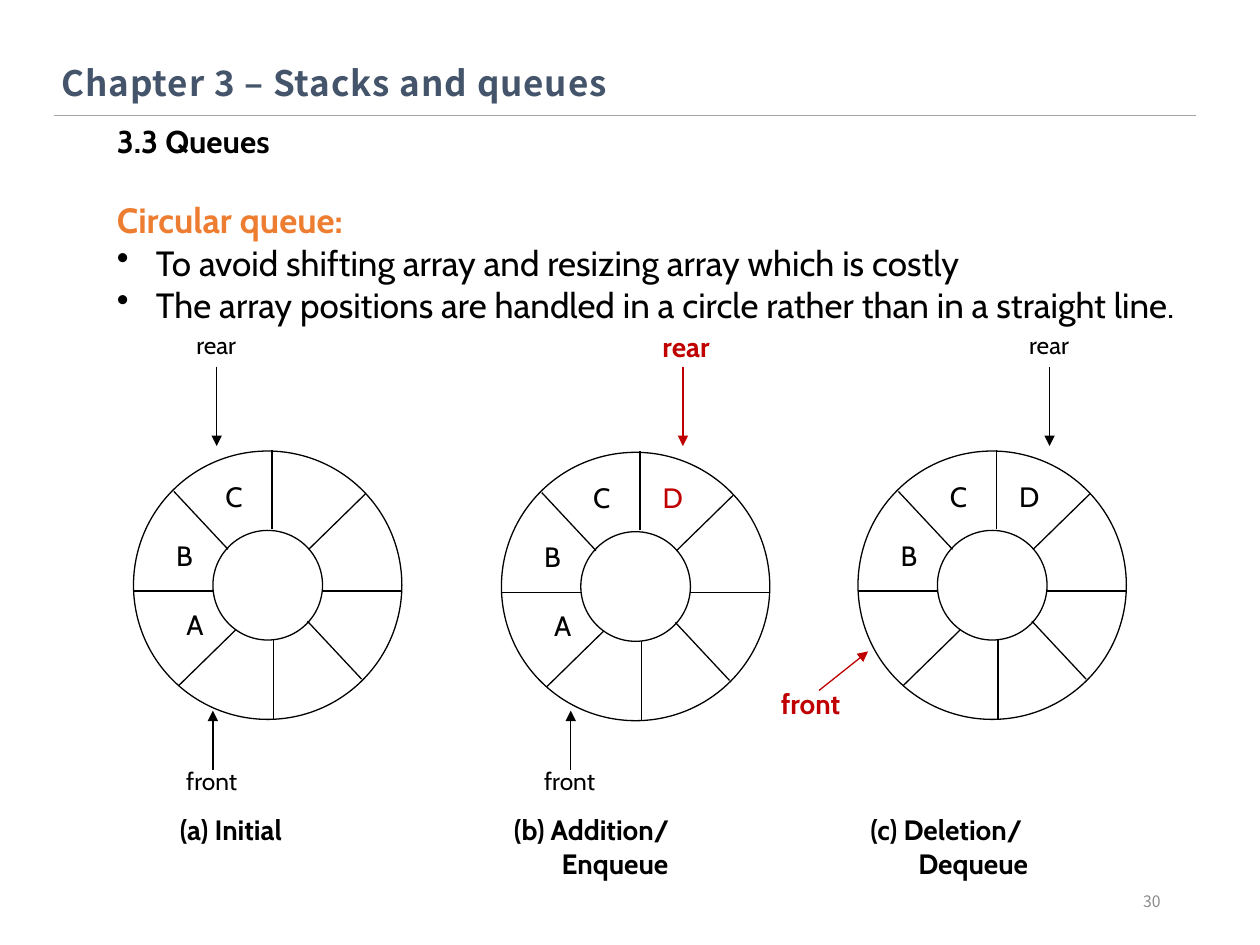
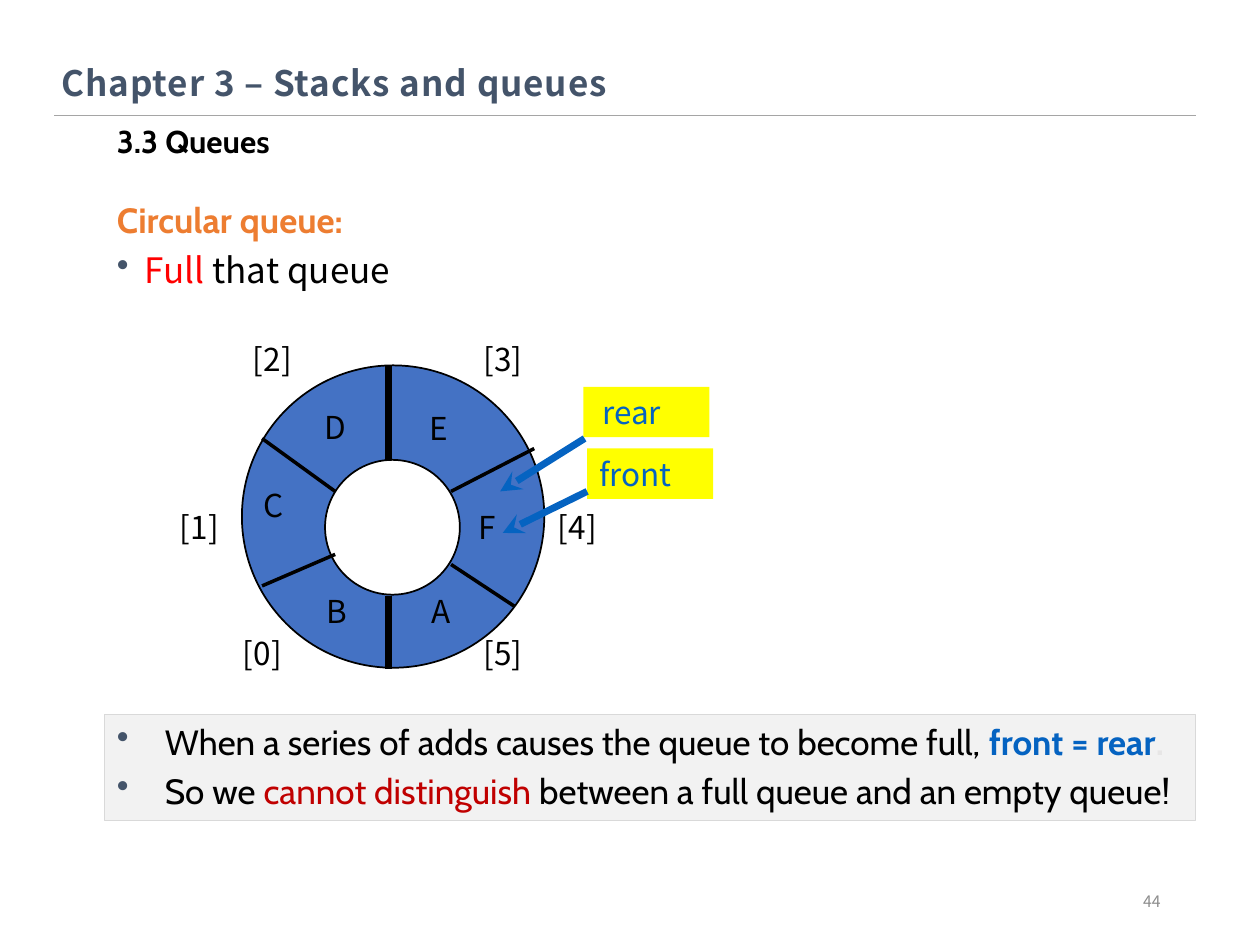
from dataclasses import dataclass

from lxml import etree
from pptx import Presentation
from pptx import util as u
from pptx.dml.color import RGBColor
from pptx.enum import shapes, text
from pptx.oxml import ns


@dataclass(frozen=True)
class Theme:
    """Fonts, colours and type sizes shared by the slides."""
    body_font: str = "Cabin"
    head_font: str = "Noto Sans CJK KR"
    ink: str = "000000"
    slate: str = "44546A"
    rule: str = "A5A5A5"
    number: str = "8C8C8C"
    orange: str = "ED7D31"
    crimson: str = "C00000"
    red: str = "FF0000"
    link: str = "0563C1"
    ring: str = "4472C4"
    white: str = "FFFFFF"
    yellow: str = "FFFF00"
    panel: str = "F2F2F2"
    panel_edge: str = "D9D9D9"
    faint: str = "E7E6E6"
    body_size: int = 20
    section_size: int = 18
    letter_size: int = 16
    label_size: int = 14
    number_size: int = 9


THEME = Theme()
LEFT, CENTER, RIGHT = text.PP_ALIGN.LEFT, text.PP_ALIGN.CENTER, text.PP_ALIGN.RIGHT
TOP, MIDDLE = text.MSO_ANCHOR.TOP, text.MSO_ANCHOR.MIDDLE

SPOKES = [
    (1.10, -0.01, 1.10, 0.62), (1.11, 1.50, 1.11, 2.13),
    (0, 1.11, 0.63, 1.11), (1.50, 1.11, 2.13, 1.11),
    (0.81, 1.42, 0.36, 1.86), (0.32, 0.32, 0.75, 0.78),
    (1.38, 1.35, 1.81, 1.81), (1.84, 0.34, 1.39, 0.78),
]
SLOTS = {"A": (0.32, 1.18), "B": (0.24, 0.63), "C": (0.63, 0.16), "D": (1.18, 0.16)}


def inches(*lengths):
    """Turn numbers into lengths."""
    return [u.Inches(length) for length in lengths]


def add_span(para, words, font=THEME.body_font, size=THEME.body_size,
             color=THEME.ink, bold=False, spacing=None):
    """Add a formatted run, with a line break at each newline."""
    for index, line in enumerate(words.split("\n")):
        if index:
            para.add_line_break()
        span = para.add_run()
        span.text = line
        span.font.name, span.font.size = font, u.Pt(size)
        span.font.bold = bold
        span.font.color.rgb = RGBColor.from_string(color)
        if spacing:
            span.font._element.set("spc", str(spacing))


def set_indent(para, hang, bullet_color=None):
    """Give a paragraph a hanging indent and, with a colour, a bullet."""
    props = para._p.get_or_add_pPr()
    props.set("marL", str(u.Inches(hang)))
    props.set("indent", str(-u.Inches(hang)))
    if bullet_color:
        holder = etree.SubElement(props, ns.qn("a:buClr"))
        etree.SubElement(holder, ns.qn("a:srgbClr"), val=bullet_color)
        etree.SubElement(props, ns.qn("a:buChar"), char="•")


def set_frame(shape, anchor=TOP, wrap=True, left_margin=0.1):
    """Prepare the text frame of a shape and return it."""
    frame = shape.text_frame
    frame.word_wrap, frame.vertical_anchor = wrap, anchor
    frame.margin_left = u.Inches(left_margin)
    return frame


def add_text(page, place, words, align=LEFT, anchor=TOP, wrap=True, hang=0, **style):
    """Add a text box holding one paragraph."""
    box = page.shapes.add_textbox(*inches(*place))
    para = set_frame(box, anchor, wrap).paragraphs[0]
    if hang:
        set_indent(para, hang)
    para.alignment = align
    add_span(para, words, **style)


def add_bullets(frame, items, hang, color, space=0, first=False):
    """Add bulleted paragraphs, each a list of (words, style) pairs."""
    for index, item in enumerate(items):
        starts_box = first and index == 0
        para = frame.paragraphs[0] if starts_box else frame.add_paragraph()
        set_indent(para, hang, color)
        if not starts_box:
            para.space_before = u.Pt(space)
        for words, style in item:
            add_span(para, words, **style)


def add_figure(page, kind, place, fill=None, line=None, width=0.75):
    """Add a flat preset shape."""
    shape = page.shapes.add_shape(kind, *inches(*place))
    shape.shadow.inherit = False
    if fill:
        shape.fill.solid()
        shape.fill.fore_color.rgb = RGBColor.from_string(fill)
    else:
        shape.fill.background()
    if line:
        shape.line.color.rgb = RGBColor.from_string(line)
        shape.line.width = u.Pt(width)
    else:
        shape.line.fill.background()
    return shape


def add_line(page, ends, color=THEME.ink, width=0.75, head=None):
    """Add a straight line, with an arrowhead at its end if named."""
    line = page.shapes.add_connector(shapes.MSO_CONNECTOR.STRAIGHT, *inches(*ends))
    line.line.color.rgb = RGBColor.from_string(color)
    line.line.width = u.Pt(width)
    if head:
        etree.SubElement(line.line._get_or_add_ln(), ns.qn("a:tailEnd"), type=head)
    etree.SubElement(line._element.spPr, ns.qn("a:effectLst"))


def add_page(deck, number):
    """Add a slide with the title, rule, section name and page number."""
    page = deck.slides.add_slide(deck.slide_layouts[6])
    add_text(page, (7.06, 6.95, 2.25, 0.4), number, align=RIGHT, anchor=MIDDLE,
             font=THEME.head_font, size=THEME.number_size, color=THEME.number)
    add_line(page, (0.43, 0.92, 9.49, 0.92), THEME.rule, 0.5)
    add_text(page, (0.83, 0.92, 8.58, 0.4), "3.3 Queues",
             size=THEME.section_size, bold=True)
    add_text(page, (0.39, 0.44, 9.57, 0.66), "Chapter 3 – Stacks and queues",
             font=THEME.head_font, color=THEME.slate, bold=True, spacing=50)
    return page


def add_topic(page, height, items, hang, color, space=0):
    """Add the topic heading and the bullets below it."""
    box = page.shapes.add_textbox(*inches(0.83, 1.53, 8.66, height))
    frame = set_frame(box)
    add_span(frame.paragraphs[0], "Circular queue:", color=THEME.orange, bold=True)
    add_bullets(frame, items, hang, color, space)


def add_wheel(page, left, top, letters, added=""):
    """Add an eight-slot ring; added letters are set in crimson."""
    oval = shapes.MSO_SHAPE.OVAL
    add_figure(page, oval, (left, top, 2.13, 2.13), line=THEME.ink)
    add_figure(page, oval, (left + 0.63, top + 0.63, 0.87, 0.87), line=THEME.ink)
    for x1, y1, x2, y2 in SPOKES:
        add_line(page, (left + x1, top + y1, left + x2, top + y2))
    for letter in letters:
        x, y = SLOTS[letter]
        add_text(page, (left + x, top + y, 0.32, 0.39), letter, align=CENTER,
                 anchor=MIDDLE, wrap=False, size=THEME.letter_size,
                 color=THEME.crimson if letter in added else THEME.ink)


def add_pointer(page, name, place, ends, changed=False):
    """Add a named arrow to a ring, stressed when it has moved."""
    color = THEME.crimson if changed else THEME.ink
    size = THEME.letter_size if changed else THEME.label_size
    add_line(page, ends, color, head="triangle")
    add_text(page, place, name, wrap=False, size=size, color=color, bold=changed)


def add_tag(page, name, left, top, arrow, left_margin=0.1):
    """Add a yellow tag with a thick arrow."""
    tag = add_figure(page, shapes.MSO_SHAPE.RECTANGLE, (left, top, 1, 0.4), THEME.yellow)
    para = set_frame(tag, left_margin=left_margin).paragraphs[0]
    para.alignment = LEFT
    add_span(para, name, font=THEME.head_font, size=THEME.section_size, color=THEME.link)
    add_line(page, arrow, THEME.link, 4, "stealth")


def build_operations(deck):
    """Build the slide on adding to and deleting from the queue."""
    page = add_page(deck, "30")
    add_topic(page, 1.45, [
        [("To avoid shifting array and resizing array which is costly", {})],
        [("The array positions are handled in a circle rather than in a straight line.", {})],
    ], 0.31, THEME.ink)

    add_wheel(page, 1.06, 3.58, "ABC")
    add_wheel(page, 3.98, 3.59, "ABCD", added="D")
    add_wheel(page, 6.81, 3.58, "BCD")

    for x, changed in ((1.72, False), (5.42, True), (8.33, False)):
        width, height = (0.6, 0.37) if changed else (0.54, 0.34)
        add_pointer(page, "rear", (x - 0.26, 2.57, width, height),
                    (x, 2.91, x, 3.54), changed)
    for x in (1.69, 4.53):
        add_pointer(page, "front", (x - 0.31, 6.03, 0.63, 0.34), (x, 6.11, x, 5.64))
    add_pointer(page, "front", (6.1, 5.4, 0.7, 0.37), (6.5, 5.48, 6.89, 5.17), True)

    for left, caption in ((1.33, "(a) Initial"), (3.98, "(b) Addition/\nEnqueue"),
                          (6.81, "(c) Deletion/\nDequeue")):
        add_text(page, (left, 6.4, 2.25, 0.37), caption, hang=0.38,
                 size=THEME.letter_size, bold=True)


def build_full_queue(deck):
    """Build the slide on the full queue."""
    page = add_page(deck, "44")
    head = {"font": THEME.head_font}
    add_topic(page, 1.11, [
        [("Full", {**head, "color": THEME.red}), (" that queue", head)],
    ], 0.22, THEME.slate, space=4)

    oval = shapes.MSO_SHAPE.OVAL
    add_figure(page, oval, (1.92, 2.9, 2.4, 2.4), THEME.ring, THEME.ink, 1)
    add_figure(page, oval, (2.58, 3.65, 1.07, 1.07), THEME.white, THEME.ink, 1)
    for ends in ((3.08, 2.9, 3.08, 3.65), (3.08, 4.73, 3.08, 5.31)):
        add_line(page, ends, width=4)
    for ends in ((2.08, 3.48, 2.66, 3.9), (2.66, 4.4, 2.08, 4.65),
                 (3.58, 3.9, 4.24, 3.56), (3.58, 4.48, 4.08, 4.81)):
        add_line(page, ends, width=2)

    indexes = [(1.83, 4.98), (1.33, 3.98), (1.91, 2.65),
               (3.74, 2.65), (4.33, 3.98), (3.74, 4.98)]
    letters = {"A": (3.33, 4.65), "B": (2.49, 4.65), "C": (1.99, 3.81),
               "D": (2.48, 3.19), "E": (3.31, 3.2), "F": (3.7, 3.98)}
    labels = [(f"[{index}]", spot) for index, spot in enumerate(indexes)]
    for label, (left, top) in labels + list(letters.items()):
        add_text(page, (left, top, 0.67, 0.4), label,
                 font=THEME.head_font, size=THEME.section_size)

    add_tag(page, "front", 4.66, 3.56, (4.66, 3.9, 3.99, 4.23))
    add_tag(page, "rear", 4.63, 3.07, (4.64, 3.48, 3.97, 3.9), left_margin=0.15)

    panel = add_figure(page, shapes.MSO_SHAPE.RECTANGLE, (0.83, 5.67, 8.66, 0.84),
                       THEME.panel, THEME.panel_edge)
    frame = set_frame(panel)
    add_bullets(frame, [
        [("When a series of adds causes the queue to become full, ", {}),
         ("front = rear", {"color": THEME.link, "bold": True}),
         (".", {"color": THEME.faint, "bold": True})],
        [("So we ", {}), ("cannot distinguish ", {"color": THEME.crimson}),
         ("between a full queue and an empty queue!", {})],
    ], 0.38, THEME.slate, space=4, first=True)
    for para in frame.paragraphs:
        para.alignment = LEFT


def main():
    """Build and save the deck."""
    deck = Presentation()
    deck.slide_width, deck.slide_height = inches(10, 7.5)
    build_operations(deck)
    build_full_queue(deck)
    deck.save("out.pptx")


if __name__ == "__main__":
    main()
